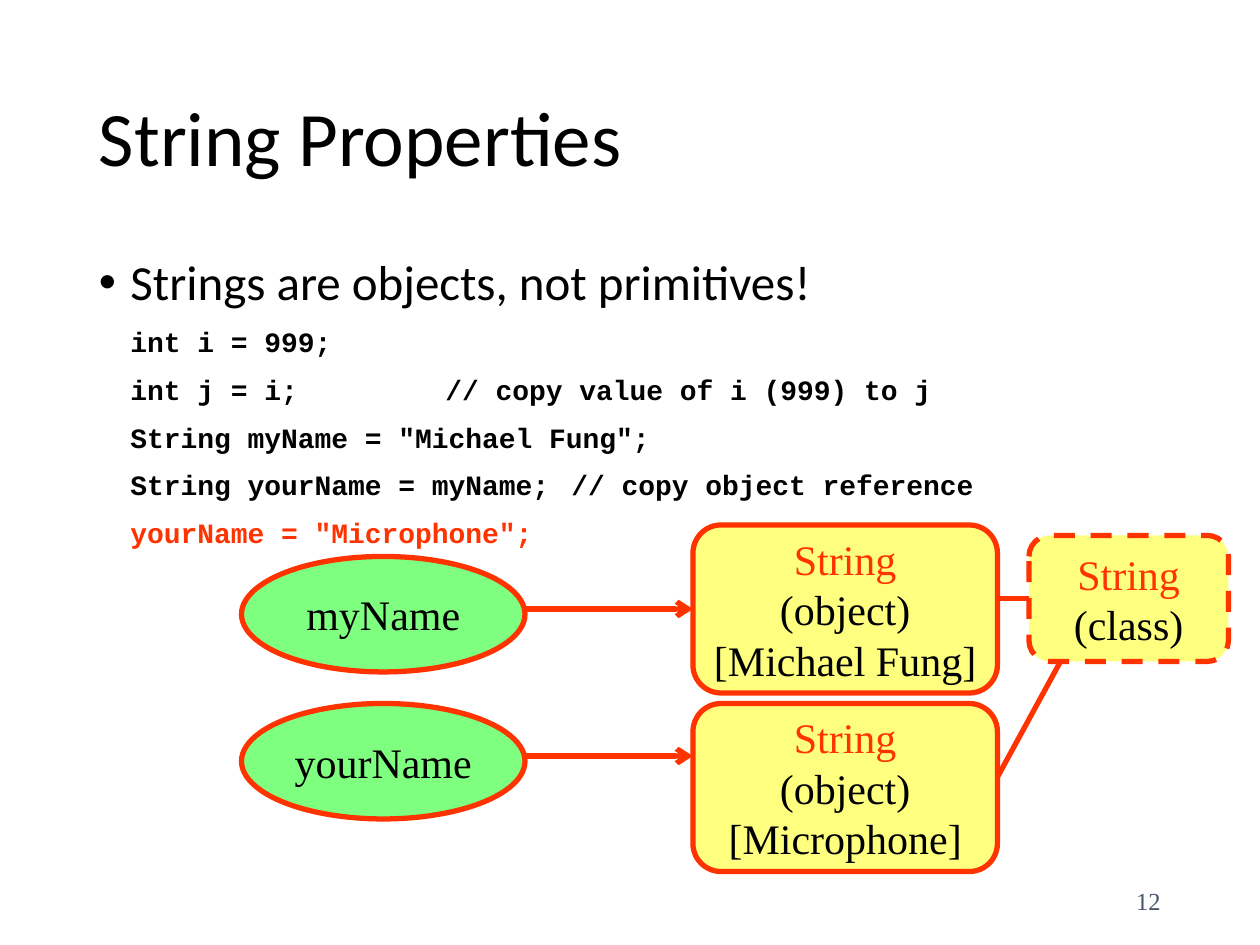
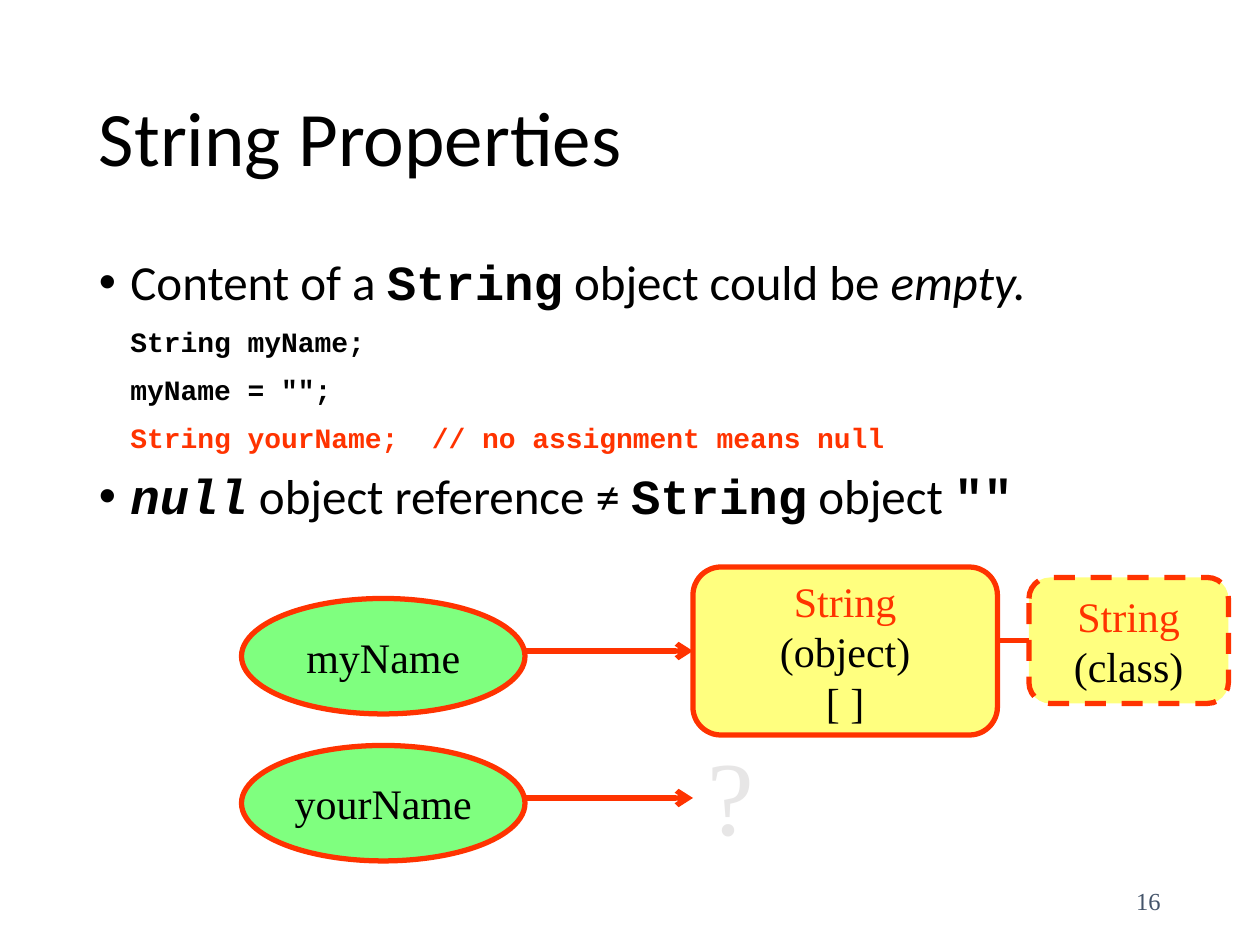
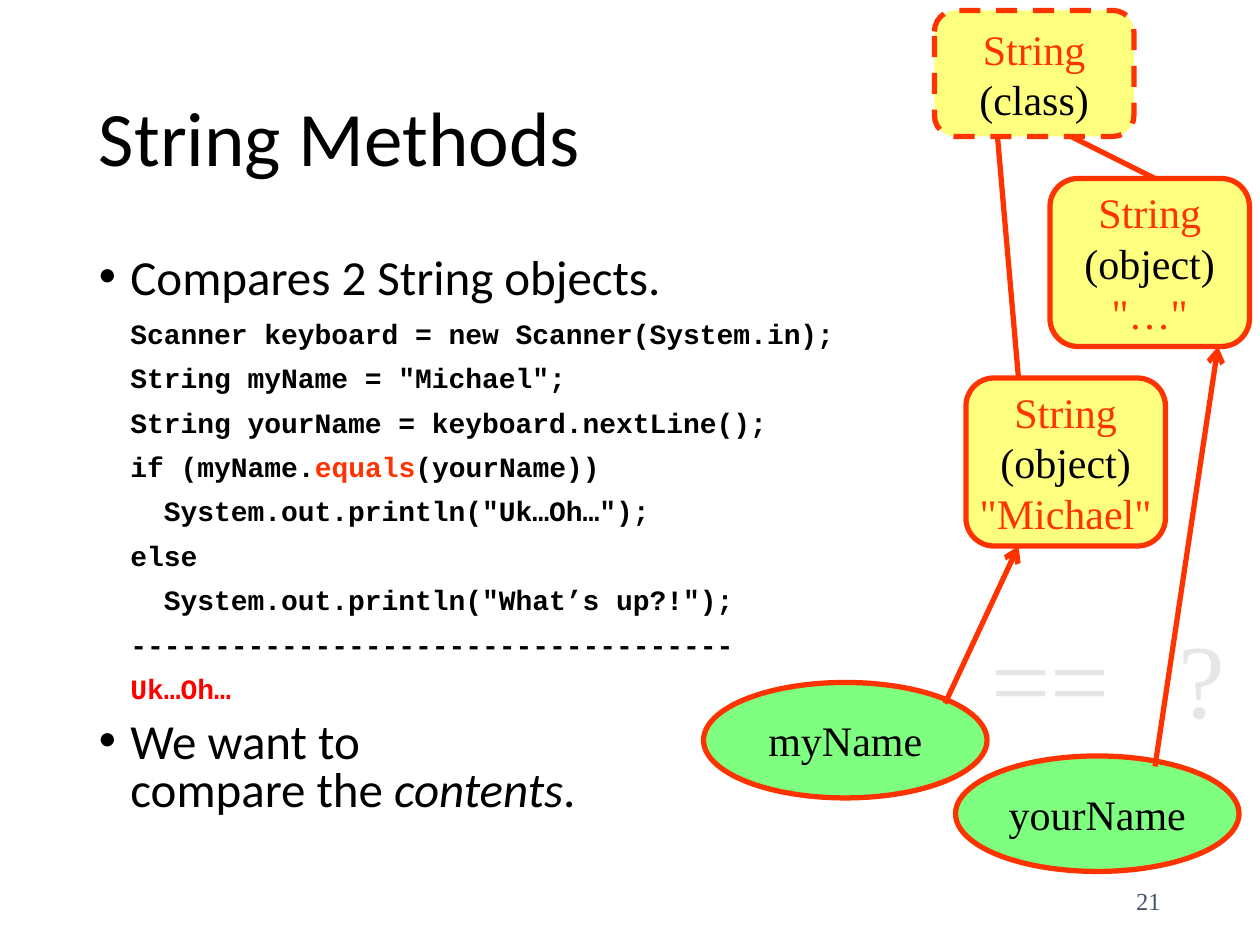
from lxml.etree import SubElement
from pptx import Presentation
from pptx.dml.color import RGBColor
from pptx.enum.dml import MSO_LINE
from pptx.enum.shapes import MSO_CONNECTOR, MSO_SHAPE
from pptx.enum.text import MSO_ANCHOR as Anchor, PP_ALIGN as Align
from pptx.oxml.ns import qn
from pptx.util import Pt

COLOURS = {
    "text": "000000",
    "accent": "FF3300",
    "output": "FF0000",
    "object": "FFFF00",
    "variable": "00FF00",
    "faint": "E7E6E6",
    "number": "44546A",
}
DIAGRAM_FONT = "Times New Roman"
POINT = {"font": "Calibri", "size": 28}
CODE = {"font": "Courier New", "size": 16, "bold": True}
STRONG = {"font": "Courier New", "bold": True}
ITALIC = {"italic": True}
ACCENT = {"colour": "accent"}

TITLE_BOX = (49.5, 28.8, 621, 104.4)
BODY_BOX = (49.5, 144, 621, 342.7)
NUMBER_BOX = (508.3, 500.4, 162, 28.8)
VARIABLE_SIZE = (162, 66)
CLASS_SIZE = (114, 72)
OBJECT_HEIGHT = 96
INDENT = 18


def colour(name):
    return RGBColor.from_string(COLOURS[name])


def format_run(run, font, size, colour_name="text", bold=False, italic=False):
    run.font.name = font
    run.font.size = Pt(size)
    run.font.bold = bold
    run.font.italic = italic
    run.font.color.rgb = colour(colour_name)


def add_text(slide, box, text, font, size, colour_name="text", align=Align.LEFT, wrap=True):
    shape = slide.shapes.add_textbox(*map(Pt, box))
    text_frame = shape.text_frame
    text_frame.text = text
    text_frame.word_wrap = wrap
    text_frame.vertical_anchor = Anchor.MIDDLE
    paragraph = text_frame.paragraphs[0]
    paragraph.alignment = align
    format_run(paragraph.runs[0], font, size, colour_name)
    return paragraph


# Body text: each line is a base style and its (text, style changes) pieces
def point(*pieces):
    return POINT, pieces


def code(*pieces):
    return CODE, (("\t", {}), *pieces)


def plain(text):
    return text, {}


def add_body(slide, box, lines, spacing):
    text_frame = slide.shapes.add_textbox(*map(Pt, box)).text_frame
    text_frame.word_wrap = True
    for index, (base, pieces) in enumerate(lines):
        paragraph = text_frame.add_paragraph() if index else text_frame.paragraphs[0]
        paragraph.line_spacing = spacing
        paragraph.space_before = Pt(10)
        properties = paragraph._p.get_or_add_pPr()
        properties.set("marL", str(Pt(INDENT)))
        properties.set("indent", str(-Pt(INDENT)))
        if base is POINT:
            SubElement(properties, qn("a:buFont")).set("typeface", "Arial")
            SubElement(properties, qn("a:buChar")).set("char", "•")
        for text, changes in pieces:
            if text == "\n":
                paragraph.add_line_break()
                continue
            style = {**base, **changes}
            run = paragraph.add_run()
            run.text = text
            format_run(run, style["font"], style["size"], style.get("colour", "text"),
                       style.get("bold", False), style.get("italic", False))


# Diagram parts
def add_node(slide, kind, box, fill, lines, accented=(), dashed=False):
    shape = slide.shapes.add_shape(kind, *map(Pt, box))
    shape.shadow.inherit = False
    shape.fill.solid()
    shape.fill.fore_color.rgb = colour(fill)
    colour_element = shape._element.spPr.find(qn("a:solidFill"))[0]
    SubElement(colour_element, qn("a:alpha")).set("val", "50000")
    shape.line.color.rgb = colour("accent")
    shape.line.width = Pt(3)
    if dashed:
        shape.line.dash_style = MSO_LINE.DASH
    text_frame = shape.text_frame
    text_frame.text = "\n".join(lines)
    text_frame.word_wrap = False
    text_frame.vertical_anchor = Anchor.MIDDLE
    for index, paragraph in enumerate(text_frame.paragraphs):
        paragraph.alignment = Align.CENTER
        format_run(paragraph.runs[0], DIAGRAM_FONT, 24,
                   "accent" if index in accented else "text")


def add_variable(slide, left, top, name):
    add_node(slide, MSO_SHAPE.OVAL, (left, top, *VARIABLE_SIZE), "variable", [name])


def add_object(slide, left, top, width, content, accented=(0,)):
    add_node(slide, MSO_SHAPE.ROUNDED_RECTANGLE, (left, top, width, OBJECT_HEIGHT),
             "object", ["String", "(object)", content], accented)


def add_class(slide, left, top):
    add_node(slide, MSO_SHAPE.ROUNDED_RECTANGLE, (left, top, *CLASS_SIZE),
             "object", ["String", "(class)"], (0,), dashed=True)


def add_link(slide, start, end, arrow=False):
    connector = slide.shapes.add_connector(MSO_CONNECTOR.STRAIGHT, *map(Pt, (*start, *end)))
    connector.line.color.rgb = colour("accent")
    connector.line.width = Pt(3)
    if arrow:
        SubElement(connector.line._get_or_add_ln(), qn("a:tailEnd")).set("type", "arrow")
    SubElement(connector._element.spPr, qn("a:effectLst"))


def add_mark(slide, left, top, text):
    add_text(slide, (left, top, 41 * len(text), 79), text, DIAGRAM_FONT, 60, "faint",
             Align.CENTER, wrap=False)


# Two variables on the left, their objects in the middle, the class on the right
def add_reference_diagram(slide, left, top, first_content, second_content=None):
    object_left, object_width, row_pitch = left + 258, 174, 84
    object_right = object_left + object_width
    class_left = object_right + INDENT
    add_object(slide, object_left, top, object_width, first_content)
    add_class(slide, class_left, top + 6)
    add_link(slide, (object_right, top + 42), (class_left, top + 42))
    for row, name in enumerate(("myName", "yourName")):
        row_top = top + row * row_pitch
        add_variable(slide, left, row_top + 18, name)
        add_link(slide, (left + VARIABLE_SIZE[0], row_top + 48),
                 (object_left, row_top + 48), arrow=True)
    if second_content:
        add_object(slide, object_left, top + 102, object_width, second_content)
        add_link(slide, (object_right, top + 144), (class_left + 18, top + 78))
    else:
        add_mark(slide, object_left + 1, top + 90, "?")


# The class at the top, its objects below, the variables at the foot
def add_comparison_diagram(slide, left, top):
    width = CLASS_SIZE[0]
    add_object(slide, left + 150, top + 210, width, '"Michael"', (0, 2))
    add_class(slide, left + 132, top)
    add_link(slide, (left + 180, top + 210), (left + 168, top + 72))
    add_variable(slide, left, top + 384, "myName")
    add_variable(slide, left + 144, top + 426, "yourName")
    add_link(slide, (left + 258, top + 432), (left + 294, top + 192), arrow=True)
    add_link(slide, (left + 138, top + 396), (left + 180, top + 306), arrow=True)
    add_mark(slide, left + 157.5, top + 341, "==")
    add_object(slide, left + 198, top + 96, width, '"…"', (0, 2))
    add_link(slide, (left + 258, top + 96), (left + 210, top + 72))
    add_mark(slide, left + 264, top + 341, "?")


# Page number, title and body, shared by all slides
def add_content_slide(presentation, number, title, lines, spacing=0.9):
    slide = presentation.slides.add_slide(presentation.slide_layouts[6])
    add_text(slide, NUMBER_BOX, str(number), DIAGRAM_FONT, 14, "number", Align.RIGHT)
    add_text(slide, TITLE_BOX, title, "Calibri", 44).line_spacing = 0.9
    add_body(slide, BODY_BOX, lines, spacing)
    return slide


REFERENCE_LINES = [
    point(plain("Strings are objects, not primitives!")),
    code(plain("int i = 999;")),
    code(plain("int j = i;\t\t\t// copy value of i (999) to j")),
    code(plain('String myName = "Michael Fung";')),
    code(plain("String yourName = myName;\t// copy object reference")),
    code(('yourName = "Microphone";', ACCENT)),
]
EMPTY_LINES = [
    point(plain("Content of a "), ("String", STRONG), plain(" object could be "),
          ("empty.", ITALIC)),
    code(plain("String myName;")),
    code(plain('myName = "";')),
    code(("String yourName;  // no assignment means null", ACCENT)),
    point(("null", {**STRONG, **ITALIC}), plain(" object reference ≠ "),
          ("String", STRONG), plain(" object "), ('""', STRONG)),
]
COMPARISON_LINES = [
    point(plain("Compares 2 String objects.")),
    code(plain("Scanner keyboard = new Scanner(System.in);")),
    code(plain('String myName = "Michael";')),
    code(plain("String yourName = keyboard.nextLine();")),
    code(plain("if (myName."), ("equals", ACCENT), plain("(yourName))")),
    code(plain('  System.out.println("Uk…Oh…");')),
    code(plain("else")),
    code(plain('  System.out.println("What’s up?!");')),
    code(plain("-" * 36)),
    code(("Uk…Oh…", {"colour": "output"})),
    point(plain("We want to"), plain("\n"), plain("compare the "),
          ("contents", ITALIC), plain(".")),
]


def main():
    presentation = Presentation()
    presentation.slide_width, presentation.slide_height = Pt(720), Pt(540)

    slide = add_content_slide(presentation, 12, "String Properties", REFERENCE_LINES)
    add_reference_diagram(slide, 138, 300, "[Michael Fung]", "[Microphone]")

    slide = add_content_slide(presentation, 16, "String Properties", EMPTY_LINES)
    add_reference_diagram(slide, 138, 324, "[ ]")

    slide = add_content_slide(presentation, 21, "String Methods", COMPARISON_LINES, 0.8)
    add_comparison_diagram(slide, 402, 6)

    presentation.save("out.pptx")


if __name__ == "__main__":
    main()
